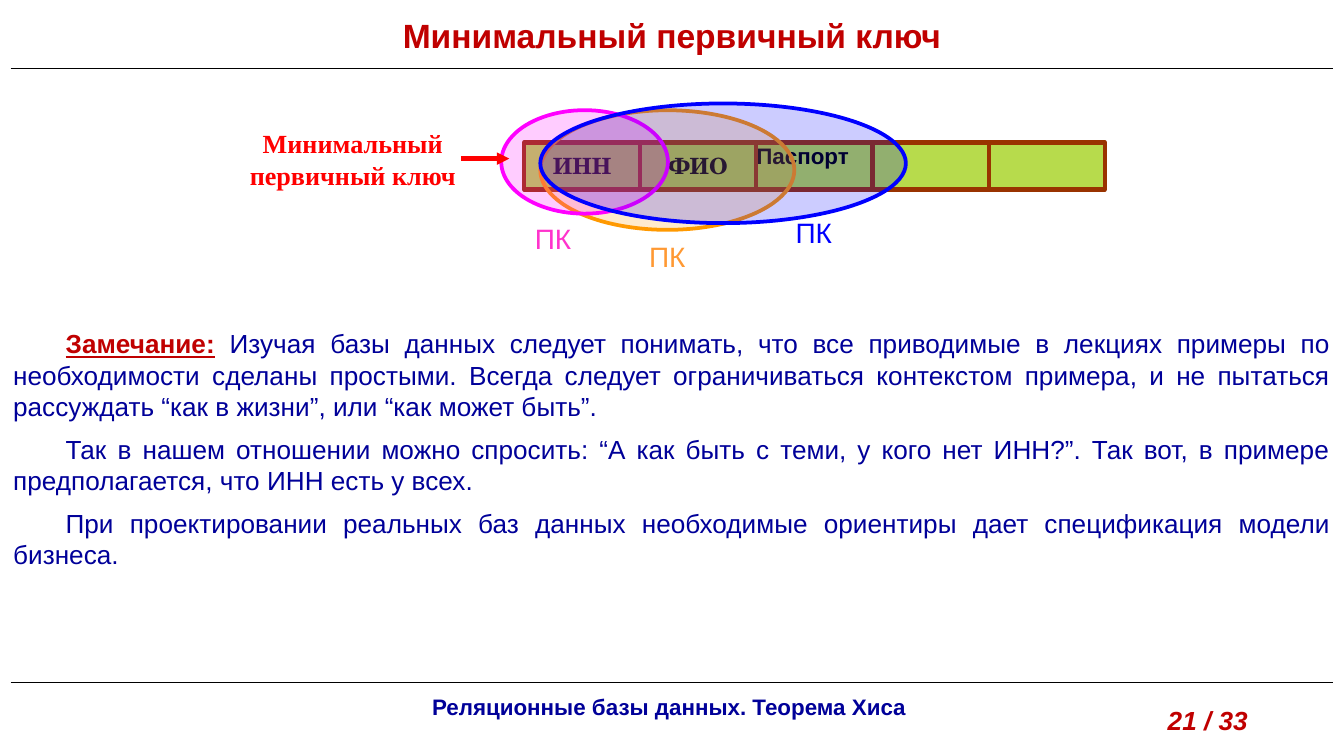
from lxml.etree import SubElement
from pptx import Presentation
from pptx.dml.color import RGBColor
from pptx.enum.shapes import MSO_CONNECTOR, MSO_SHAPE
from pptx.enum.text import MSO_ANCHOR, MSO_AUTO_SIZE, PP_ALIGN
from pptx.oxml.ns import qn
from pptx.util import Inches, Pt

COLORS = {
    "black": "000000", "navy": "000099", "crimson": "C00000", "red": "FF0000",
    "lime": "99CC00", "brown": "993300", "orange": "FF9900", "magenta": "FF00FF",
    "blue": "0000FF", "pink": "FF33CC", "apricot": "FF9933",
}


def write(frame, text, size=14, color="navy", font="Arial", bold=False, italic=False,
          underline=False, align=PP_ALIGN.CENTER, anchor=MSO_ANCHOR.TOP, inset=True,
          fresh=True):
    frame.word_wrap = True
    frame.auto_size = MSO_AUTO_SIZE.NONE
    frame.vertical_anchor = anchor
    frame.margin_left = frame.margin_right = Inches(0.1 if inset else 0)
    frame.margin_top = frame.margin_bottom = Inches(0.05 if inset else 0)
    para = frame.paragraphs[-1]
    if fresh and para.runs:
        para = frame.add_paragraph()
    para.alignment = align
    span = para.add_run()
    span.text = text
    span.font.name = font
    span.font.size = Pt(size)
    span.font.bold = bold
    span.font.italic = italic
    span.font.underline = underline
    span.font.color.rgb = RGBColor.from_string(COLORS[color])


deck = Presentation()
deck.slide_width = Inches(10)
deck.slide_height = deck.slide_width * 9 // 16
page = deck.slides.add_slide(deck.slide_layouts[5])
column = deck.slide_width / 100
row = deck.slide_height / 56.25

title = page.shapes.title
title.left, title.top = 0, int(0.6 * row)
title.width, title.height = deck.slide_width, int(4.5 * row)
write(title.text_frame, "Минимальный первичный ключ", size=18, color="crimson", bold=True)

cell_count = 5
cell_width = 8.64
key_left, key_top, key_height = 39, 10.6, 3.5
key_right = key_left + cell_count * cell_width
key_bottom = key_top + key_height
edges = [key_left + index * cell_width for index in range(cell_count + 1)]

drawings = [("line", 0.8, y, 99.2, y, "black", 0.75) for y in (50.8, 5.1)]
drawings += [("cell", x, key_top, x + cell_width, key_bottom, "brown", 2.25)
             for x in reversed(edges[:-1])]
drawings += [("line", key_left, y, key_right, y, "brown", 2.25) for y in (key_top, key_bottom)]
drawings += [("line", x, key_top, x, key_bottom, "brown", 2.25) for x in edges]
drawings += [
    ("oval", 40.2, 8.2, 59.1, 17.1, "orange", 2),
    ("oval", 37.3, 8.2, 49.7, 15.9, "magenta", 2),
    ("oval", 40.2, 7.7, 67.4, 16.6, "blue", 2),
    ("arrow", 34.3, 11.8, 37.9, 11.8, "red", 2.25),
]
presets = {"cell": (MSO_SHAPE.RECTANGLE, "lime", 70), "oval": (MSO_SHAPE.OVAL, None, 20)}
cells = []
for kind, left, top, right, bottom, color, weight in drawings:
    start = int(left * column), int(top * row)
    end = int(right * column), int(bottom * row)
    if kind in presets:
        preset, fill, opacity = presets[kind]
        item = page.shapes.add_shape(preset, *start, end[0] - start[0], end[1] - start[1])
        item.shadow.inherit = False
        item.fill.solid()
        item.fill.fore_color.rgb = RGBColor.from_string(COLORS[fill or color])
        tint = item._element.spPr.find(qn("a:solidFill"))[0]
        SubElement(tint, qn("a:alpha"), val=str(opacity * 1000))
        if kind == "cell":
            cells.insert(0, item)
    else:
        item = page.shapes.add_connector(MSO_CONNECTOR.STRAIGHT, *start, *end)
    item.line.color.rgb = RGBColor.from_string(COLORS[color])
    item.line.width = Pt(weight)
    if kind == "arrow":
        SubElement(item.line._get_or_add_ln(), qn("a:tailEnd"), type="triangle")
    if kind not in presets:
        SubElement(item._element.spPr, qn("a:effectLst"))

cell_label = {"size": 12, "color": "black", "bold": True, "inset": False}
for cell, text in zip(cells, ("ИНН", "ФИО")):
    write(cell.text_frame, text, font="TeX Gyre Schola", anchor=MSO_ANCHOR.MIDDLE, **cell_label)
write(cells[2].text_frame, "Паспорт", align=PP_ALIGN.LEFT, **cell_label)

key_label = {"size": 15, "inset": False}
labels = [
    ("Реляционные базы данных. Теорема Хиса", 12.5, 51.1, 74.6, 3, {"size": 12, "bold": True}),
    ("21 / 33", 85.9, 51.9, 10.2, 3.4,
     {"color": "crimson", "bold": True, "italic": True, "align": PP_ALIGN.LEFT}),
    ("ПК", 37.3, 16.5, 7.7, 2.5, {"color": "pink", **key_label}),
    ("ПК", 56.7, 16, 7.7, 2.5, {"color": "blue", **key_label}),
    ("ПК", 45.8, 17.8, 7.7, 2.5, {"color": "apricot", **key_label}),
    ("Минимальный первичный ключ", 16.8, 9.5, 18.9, 4.7,
     {"color": "red", "font": "Times New Roman", "bold": True, "inset": False}),
]
for text, left, top, width, height, style in labels:
    box = page.shapes.add_textbox(int(left * column), int(top * row),
                                  int(width * column), int(height * row))
    write(box.text_frame, text, **style)

remark = page.shapes.add_textbox(0, int(23.9 * row), deck.slide_width, int(19.2 * row)).text_frame
write(remark, "Замечание:", color="crimson", bold=True, underline=True, align=PP_ALIGN.JUSTIFY)
write(remark, " Изучая базы данных следует понимать, что все приводимые в лекциях примеры по "
      "необходимости сделаны простыми. Всегда следует ограничиваться контекстом примера, "
      "и не пытаться рассуждать “как в жизни”, или “как может быть”.",
      align=PP_ALIGN.JUSTIFY, fresh=False)
for text in (
    "Так в нашем отношении можно спросить: “А как быть с теми, у кого нет ИНН?”. "
    "Так вот, в примере предполагается, что ИНН есть у всех.",
    "При проектировании реальных баз данных необходимые ориентиры дает "
    "спецификация модели бизнеса.",
):
    write(remark, text, align=PP_ALIGN.JUSTIFY)
for para in remark.paragraphs:
    para.space_after = Pt(6)
    para._p.get_or_add_pPr().set("indent", str(int(3.9 * column)))

deck.save("out.pptx")
